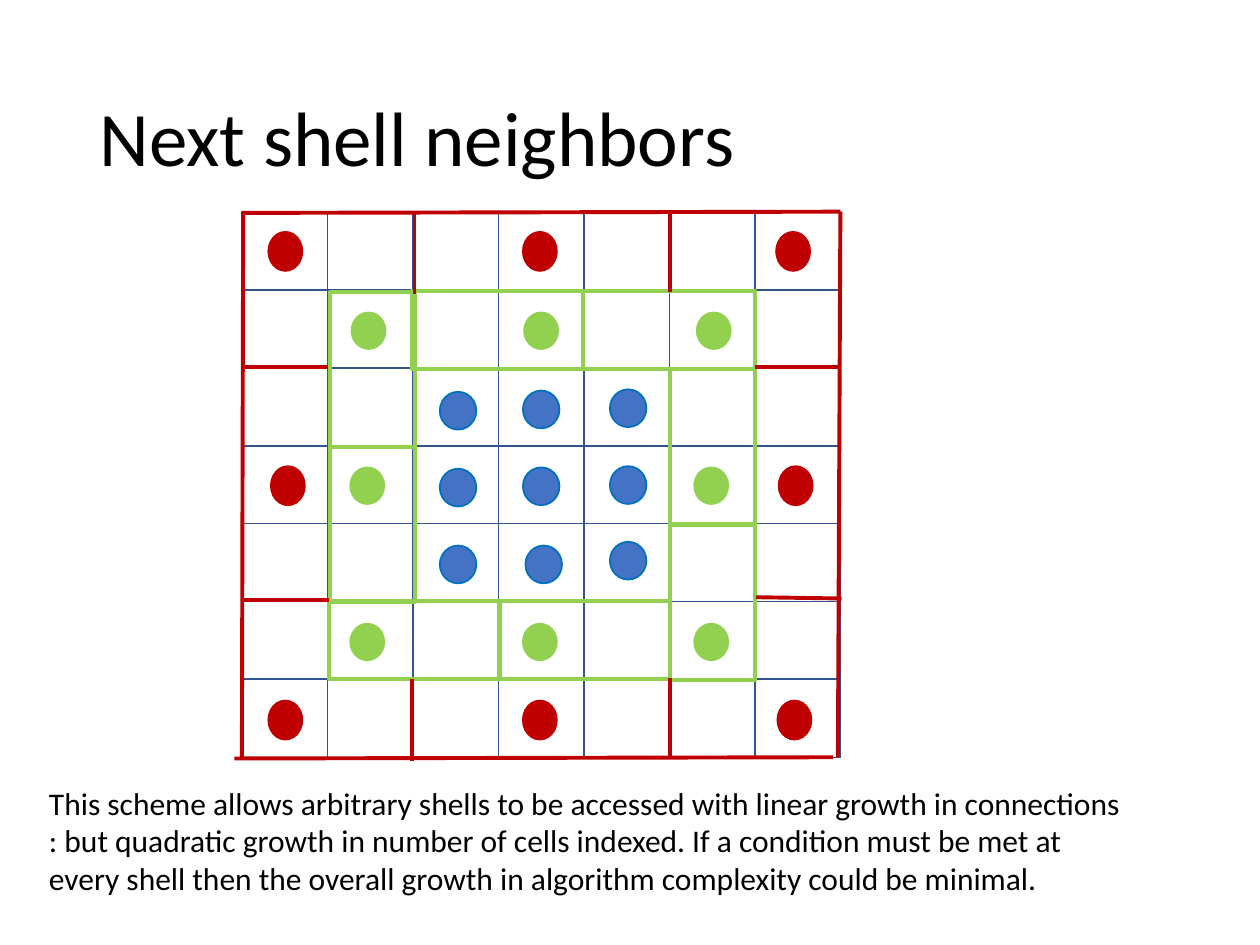
from dataclasses import dataclass
from itertools import product
from typing import Optional

from pptx import Presentation
from pptx.dml.color import RGBColor
from pptx.enum.shapes import MSO_CONNECTOR, MSO_SHAPE
from pptx.enum.text import MSO_ANCHOR, PP_ALIGN
from pptx.oxml.ns import qn
from pptx.util import Inches, Pt
from lxml.etree import SubElement

NAVY, GREEN, RED, BLUE, BLUE_EDGE = "325491", "92D050", "C00000", "4472C4", "0070C0"
BLACK = "000000"
GRID_LEFT, GRID_TOP, GRID_SIZE = 1.92, 1.68, 7
CELL_WIDTH, CELL_HEIGHT = 0.68, 0.62
COLUMN_STEP, ROW_STEP = 4.75 / GRID_SIZE, 4.33 / GRID_SIZE


@dataclass(frozen=True)
class Block:
    """A pair of cells in the second shell."""
    left: float
    top: float
    width: float = 1.36
    height: float = 0.62
    rotation: int = 0


@dataclass(frozen=True)
class Border:
    """A straight edge of the outer shell."""
    x1: float
    y1: float
    x2: float
    y2: float


@dataclass(frozen=True)
class Shell:
    """The dots of one shell, given by their top left corners."""
    fill: str
    edge: str
    width: float
    height: float
    corners: tuple


BLOCKS = [Block(left, 2.31) for left in (4.63, 3.27)]
BLOCKS += [Block(left, 4.77) for left in (3.96, 2.61)]
BLOCKS += [Block(left, top, 1.23, 0.67, 90)
           for left, top in ((5.04, 3.21), (5.04, 4.45), (2.34, 3.83), (2.34, 2.6))]

BORDERS = [
    Border(1.92, 1.69, 6.67, 1.68), Border(6.67, 1.68, 6.65, 6.01),
    Border(1.86, 6.02, 6.61, 6.01), Border(1.93, 1.68, 1.92, 6.01),
    Border(3.29, 1.69, 3.29, 2.33), Border(5.32, 1.68, 5.32, 2.32),
    Border(3.27, 5.39, 3.27, 6.04), Border(5.32, 5.38, 5.32, 6.02),
    Border(1.92, 2.91, 2.6, 2.91), Border(5.99, 2.91, 6.67, 2.91),
    Border(1.93, 4.76, 2.61, 4.76), Border(6, 4.74, 6.68, 4.75),
]

SHELLS = [
    Shell(BLUE, BLUE_EDGE, 0.29, 0.3, (
        (3.49, 3.11), (4.15, 3.1), (4.84, 3.09),
        (3.49, 3.72), (4.15, 3.71), (4.84, 3.7),
        (3.49, 4.33), (4.17, 4.33), (4.84, 4.3))),
    Shell(GREEN, GREEN, 0.27, 0.29, (
        (2.79, 2.48), (4.16, 2.48), (5.53, 2.48), (2.78, 3.71),
        (5.51, 3.71), (2.78, 4.95), (4.15, 4.95), (5.51, 4.95))),
    Shell(RED, RED, 0.27, 0.31, (
        (2.13, 1.84), (4.15, 1.84), (6.16, 1.84), (2.15, 3.7),
        (6.18, 3.7), (2.13, 5.56), (4.15, 5.56), (6.17, 5.56))),
]


def color(value: str) -> RGBColor:
    """Turn a hex string into a colour."""
    return RGBColor.from_string(value)


def apply(target, formats: dict) -> None:
    """Set each attribute of the target from a dict of values."""
    for name, value in formats.items():
        setattr(target, name, value)


def place(shape, left: float, top: float, width: float, height: float) -> None:
    """Move and size a shape, in inches."""
    apply(shape, {"left": Inches(left), "top": Inches(top),
                  "width": Inches(width), "height": Inches(height)})


def draw_shape(parent, kind, left: float, top: float, width: float, height: float,
               edge: str, weight: float = 1, fill: Optional[str] = None,
               rotation: int = 0) -> None:
    """Draw an outlined shape, hollow unless a fill is given."""
    shape = parent.shapes.add_shape(kind, Inches(left), Inches(top),
                                    Inches(width), Inches(height))
    shape.rotation = rotation
    shape.shadow.inherit = False
    if fill:
        shape.fill.solid()
        shape.fill.fore_color.rgb = color(fill)
    else:
        shape.fill.background()
    shape.line.color.rgb = color(edge)
    shape.line.width = Pt(weight)


def draw_border(parent, border: Border) -> None:
    """Draw one red edge without a shadow."""
    edge = parent.shapes.add_connector(
        MSO_CONNECTOR.STRAIGHT, Inches(border.x1), Inches(border.y1),
        Inches(border.x2), Inches(border.y2))
    edge.line.color.rgb = color(RED)
    edge.line.width = Pt(2.25)
    SubElement(edge._element.spPr, qn("a:effectLst"))


def write(frame, text: str, size: float, anchor, spacing: float) -> None:
    """Write one left-aligned paragraph into a text frame."""
    apply(frame, {"text": text, "word_wrap": True, "vertical_anchor": anchor})
    paragraph = frame.paragraphs[0]
    apply(paragraph, {"alignment": PP_ALIGN.LEFT, "line_spacing": spacing})
    font = paragraph.runs[0].font
    apply(font, {"name": "Calibri", "size": Pt(size)})
    font.color.rgb = color(BLACK)


def draw_neighbors(slide) -> None:
    """Draw the grid, its shells and their dots as one group."""
    neighbors = slide.shapes.add_group_shape()
    for row, column in product(range(GRID_SIZE), repeat=2):
        draw_shape(neighbors, MSO_SHAPE.RECTANGLE, GRID_LEFT + column * COLUMN_STEP,
                   GRID_TOP + row * ROW_STEP, CELL_WIDTH, CELL_HEIGHT, NAVY)
    for block in BLOCKS:
        draw_shape(neighbors, MSO_SHAPE.RECTANGLE, block.left, block.top, block.width,
                   block.height, GREEN, 2.25, rotation=block.rotation)
    for border in BORDERS:
        draw_border(neighbors, border)
    for shell in SHELLS:
        for left, top in shell.corners:
            draw_shape(neighbors, MSO_SHAPE.OVAL, left, top, shell.width,
                       shell.height, shell.edge, fill=shell.fill)


def main() -> None:
    """Build and save the slide."""
    deck = Presentation()
    apply(deck, {"slide_width": Inches(10), "slide_height": Inches(7.5)})
    slide = deck.slides.add_slide(deck.slide_layouts[5])

    title = slide.shapes.title
    place(title, 0.69, 0.4, 8.62, 1.45)
    write(title.text_frame, "Next shell neighbors", 44, MSO_ANCHOR.MIDDLE, 0.9)

    draw_neighbors(slide)

    explanation = slide.shapes.add_textbox(Inches(0.29), Inches(6.17),
                                           Inches(8.71), Inches(1.31))
    write(explanation.text_frame,
          "This scheme allows arbitrary shells to be accessed with linear growth in "
          "connections : but quadratic growth in number of cells indexed. If a condition "
          "must be met at every shell then the overall growth in algorithm complexity "
          "could be minimal.", 18, MSO_ANCHOR.TOP, 1.0)
    deck.save("out.pptx")


main()
